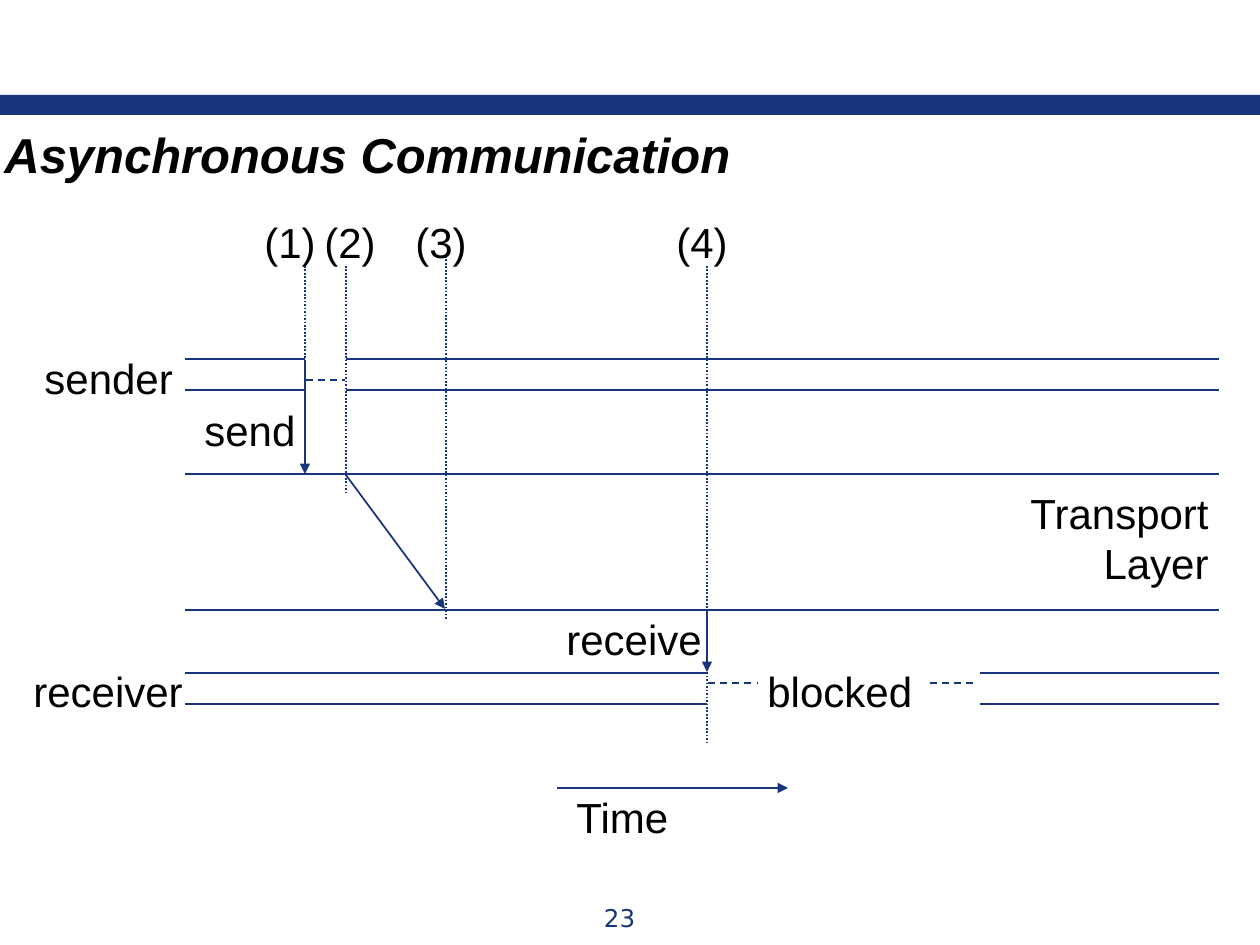
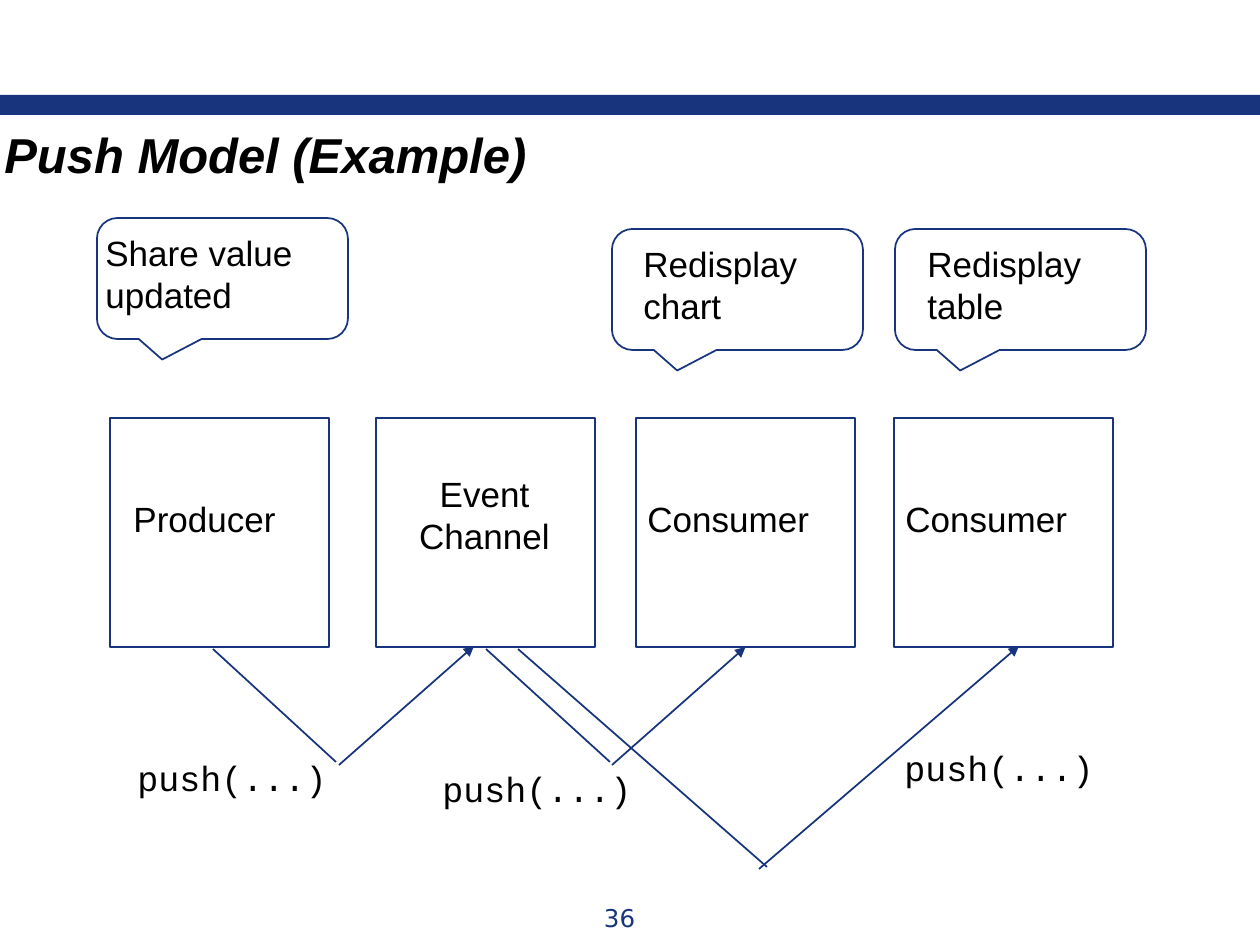
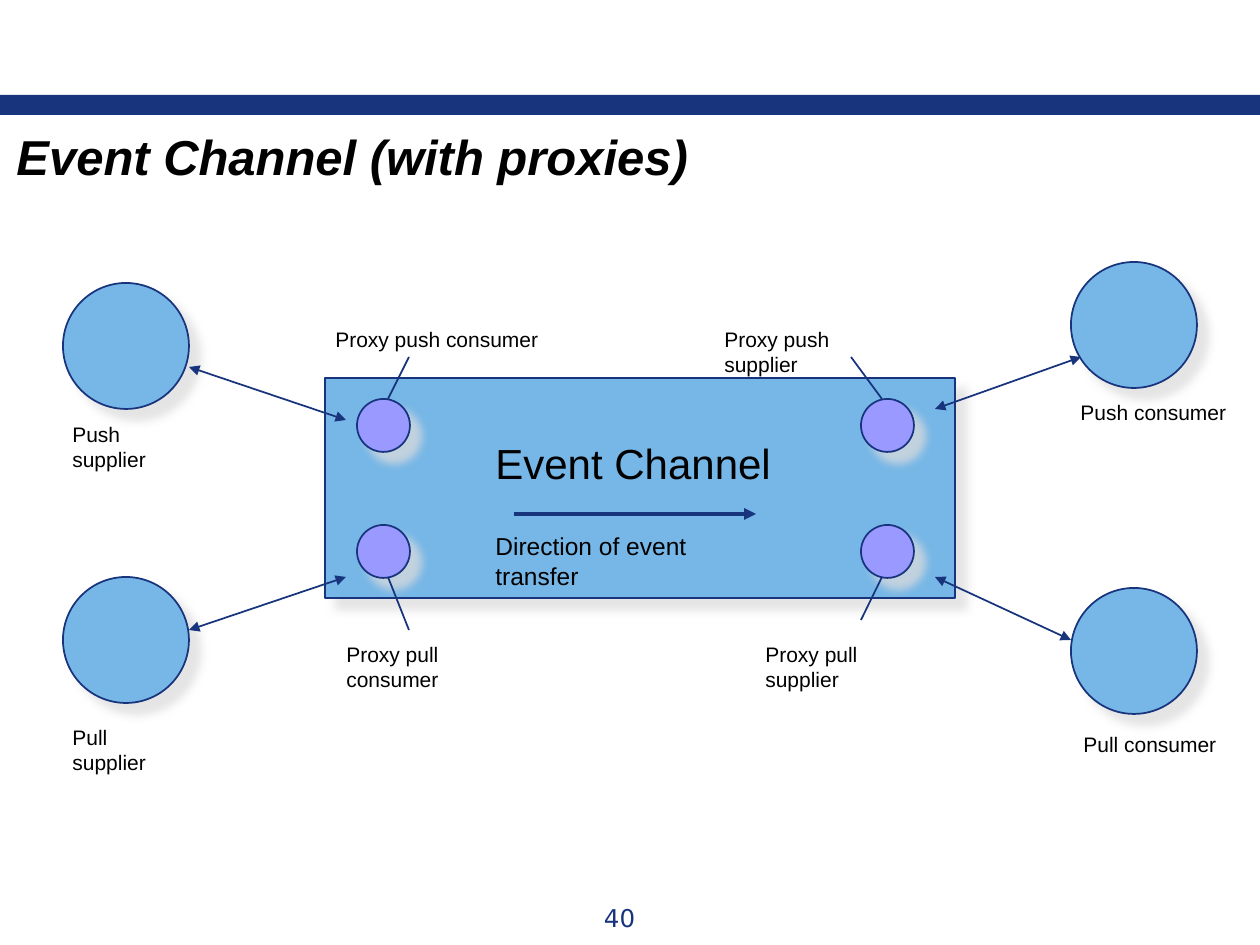
from lxml import etree
from pptx import Presentation
from pptx.dml.color import RGBColor
from pptx.enum.dml import MSO_LINE
from pptx.enum.shapes import MSO_CONNECTOR, MSO_SHAPE
from pptx.enum.text import PP_ALIGN
from pptx.oxml.ns import qn
from pptx.util import Emu, Pt

NAVY = RGBColor(0x17, 0x34, 0x7D)
SKY = RGBColor(0x77, 0xB7, 0xE7)
LILAC = RGBColor(0x99, 0x99, 0xFF)
BLACK = RGBColor(0, 0, 0)
SHADOW_HEX = "DDDDDD"

BODY_FONT = "Arial"
CODE_FONT = "Courier New"
NUMBER_FONT = "DejaVu Sans"

LEFT, CENTER, RIGHT = PP_ALIGN.LEFT, PP_ALIGN.CENTER, PP_ALIGN.RIGHT
RECTANGLE, OVAL = MSO_SHAPE.RECTANGLE, MSO_SHAPE.OVAL
CALLOUT = MSO_SHAPE.ROUNDED_RECTANGULAR_CALLOUT
STRAIGHT = MSO_CONNECTOR.STRAIGHT
DASH, DOT = MSO_LINE.DASH, MSO_LINE.ROUND_DOT
BOTTOM_SIDE = 2

PAGE_WIDTH, PAGE_HEIGHT = 1260, 945
EMU_PER_PX = 914400 / 126


def px(length):
    """Turn pixels into EMU."""
    return Emu(round(length * EMU_PER_PX))


def add_text(page, text, left, top, width, height, size=24, font=BODY_FONT,
             color=BLACK, align=LEFT, wrap=False, strong=False):
    """Add a text box holding one styled run and return it."""
    box = page.shapes.add_textbox(px(left), px(top), px(width), px(height))
    box.text_frame.word_wrap = wrap
    para = box.text_frame.paragraphs[0]
    para.alignment = align
    span = para.add_run()
    span.text = text
    span.font.size = Pt(size)
    span.font.name = font
    span.font.color.rgb = color
    span.font.bold = span.font.italic = strong
    return box


def add_figure(page, kind, left, top, width, height, fill=None, outlined=True):
    """Add a preset shape without shadow and return it."""
    figure = page.shapes.add_shape(kind, px(left), px(top), px(width), px(height))
    figure.shadow.inherit = False
    if fill is None:
        figure.fill.background()
    else:
        figure.fill.solid()
        figure.fill.fore_color.rgb = fill
    if outlined:
        figure.line.color.rgb = NAVY
        figure.line.width = Pt(1)
    else:
        figure.line.fill.background()
    return figure


def add_shadowed(page, kind, left, top, width, height, fill):
    """Add a filled shape with a soft shadow to the lower right."""
    figure = add_figure(page, kind, left, top, width, height, fill)
    effects = figure.element.spPr.find(qn("a:effectLst"))
    shadow = etree.SubElement(effects, qn("a:outerShdw"), blurRad=str(Pt(5)),
                              dist=str(Pt(8.5)), dir="2700000", algn="ctr",
                              rotWithShape="0")
    color = etree.SubElement(shadow, qn("a:srgbClr"), val=SHADOW_HEX)
    etree.SubElement(color, qn("a:alpha"), val="75000")


def add_line(page, x1, y1, x2, y2, dash=None, weight=1, head=False, tail=False):
    """Add a straight line, dashed or with arrowheads if asked, and return it."""
    line = page.shapes.add_connector(STRAIGHT, px(x1), px(y1), px(x2), px(y2))
    line.line.color.rgb = NAVY
    line.line.width = Pt(weight)
    if dash is not None:
        line.line.dash_style = dash
    outline = line.line._get_or_add_ln()
    for tag, wanted in (("a:headEnd", head), ("a:tailEnd", tail)):
        if wanted:
            etree.SubElement(outline, qn(tag), type="triangle")
    etree.SubElement(line.element.spPr, qn("a:effectLst"))
    return line


def add_page(deck, title, number, left=-8, top=118, width=760):
    """Add a blank page with the band, title and page number."""
    page = deck.slides.add_slide(deck.slide_layouts[6])
    add_figure(page, RECTANGLE, 0, 95, PAGE_WIDTH, 20, NAVY, outlined=False)
    add_text(page, str(number), 473, 897, 293, 43, 14, NUMBER_FONT, NAVY,
             CENTER, wrap=True)
    add_text(page, title, left, top, width, 72, 28, strong=True)
    return page


def add_lanes(page, spans, heights):
    """Draw every horizontal span at every height."""
    for left, right in spans:
        for y in heights:
            add_line(page, left, y, right, y)


def build_asynchronous(deck):
    """Build the time diagram of asynchronous communication."""
    page = add_page(deck, "Asynchronous Communication", 23)
    start, end = 185, 1219
    sent, resumed, arrived, received = 305, 346, 446, 707
    transport_top, transport_bottom = 474, 610

    add_lanes(page, ((start, sent), (resumed, end)), (359, 390))
    add_lanes(page, ((start, end),), (transport_top, transport_bottom))
    add_lanes(page, ((start, received), (980, end)), (673, 704))

    for x1, y1, x2, y2 in ((sent, 360, sent, transport_top),
                           (resumed, 475, 445, 609),
                           (received, 611, received, 672),
                           (557, 788, 788, 788)):
        add_line(page, x1, y1, x2, y2, tail=True)
    for left, right, y in ((306, 345, 380), (708, 757, 683), (930, 978, 683)):
        add_line(page, left, y, right, y, DASH)
    for x, top, bottom in ((sent, 266, 369), (resumed, 266, 494),
                           (arrived, 256, 620), (received, 266, 745)):
        add_line(page, x, top, x, bottom, DOT)

    for step, left in enumerate((252, 312, 403, 664), 1):
        add_text(page, f"({step})", left, 210, 77, 63)
    for text, left, top, width in (("sender", 32, 346, 155),
                                   ("send", 192, 398, 117),
                                   ("receiver", 21, 659, 176),
                                   ("receive", 554, 607, 163),
                                   ("blocked", 755, 659, 171),
                                   ("Time", 564, 785, 118)):
        add_text(page, text, left, top, width, 63)
    add_text(page, "Transport Layer", 1008, 481, 213, 115, align=RIGHT, wrap=True)


def build_push_model(deck):
    """Build the push model example with its callouts and arrows."""
    page = add_page(deck, "Push Model (Example)", 36, width=554)
    boxes = [add_figure(page, RECTANGLE, left, 418, 219, 229)
             for left in (110, 376, 636, 894)]
    for text, left, width in (("Producer", 121, 169), ("Consumer", 635, 188),
                              ("Consumer", 893, 188)):
        add_text(page, text, left, 491, width, 54, 20)
    add_text(page, "Event Channel", 383, 466, 203, 97, 20, align=CENTER, wrap=True)

    for text, left, top, text_left, text_width in (
            ("Share value updated", 97, 218, 93, 276),
            ("Redisplay chart", 612, 229, 631, 212),
            ("Redisplay table", 895, 229, 915, 212)):
        callout = add_figure(page, CALLOUT, left, top, 251, 121)
        for index, value in enumerate((-0.24, 0.67, 0.17)):
            callout.adjustments[index] = value
        add_text(page, text, text_left, top + 7, text_width, 97, 20, wrap=True)

    for x1, y1, x2, y2 in ((213, 649, 336, 762), (486, 649, 610, 762),
                           (518, 649, 767, 867)):
        add_line(page, x1, y1, x2, y2)
    add_line(page, 339, 765, 474, 646, tail=True)
    add_line(page, 759, 869, 1019, 646, tail=True)
    to_consumer = add_line(page, 612, 765, 746, 647, tail=True)
    to_consumer.end_connect(boxes[2], BOTTOM_SIDE)

    for left, top in ((125, 750), (430, 761), (892, 740)):
        add_text(page, "push(...)", left, top, 217, 54, 20, CODE_FONT)


def build_proxies(deck):
    """Build the event channel with its four proxies."""
    page = add_page(deck, "Event Channel (with proxies)", 40, 4, 120, 698)
    add_shadowed(page, RECTANGLE, 325, 378, 630, 220, SKY)
    for left, top in ((63, 283), (63, 577), (1071, 262), (1071, 588)):
        add_shadowed(page, OVAL, left, top, 126, 126, SKY)
    for left in (357, 861):
        for top in (399, 525):
            add_shadowed(page, OVAL, left, top, 53, 53, LILAC)

    add_text(page, "Event Channel", 483, 431, 301, 63)
    add_line(page, 514, 514, 756, 514, weight=2.25, tail=True)
    add_text(page, "Direction of event transfer", 483, 525, 300, 42, 14, wrap=True)

    for x1, y1, x2, y2 in ((189, 630, 346, 577), (189, 367, 346, 420),
                           (935, 577, 1071, 640), (935, 409, 1081, 357)):
        add_line(page, x1, y1, x2, y2, head=True, tail=True)
    for x1, y1, x2, y2 in ((388, 399, 409, 357), (388, 577, 409, 630),
                           (882, 399, 851, 357), (882, 577, 861, 620)):
        add_line(page, x1, y1, x2, y2)

    for text, left, top, width, wrap in (
            ("Push supplier", 60, 415, 152, False),
            ("Pull supplier", 60, 718, 130, True),
            ("Push consumer", 1068, 393, 171, False),
            ("Pull consumer", 1071, 725, 158, False),
            ("Proxy push consumer", 323, 320, 228, False),
            ("Proxy pull consumer", 334, 635, 215, False),
            ("Proxy pull supplier", 753, 635, 188, True),
            ("Proxy push supplier", 712, 320, 200, True)):
        add_text(page, text, left, top, width, 38, 12, wrap=wrap)


def main():
    """Build and save the deck."""
    deck = Presentation()
    deck.slide_width, deck.slide_height = px(PAGE_WIDTH), px(PAGE_HEIGHT)
    build_asynchronous(deck)
    build_push_model(deck)
    build_proxies(deck)
    deck.save("out.pptx")


if __name__ == "__main__":
    main()
